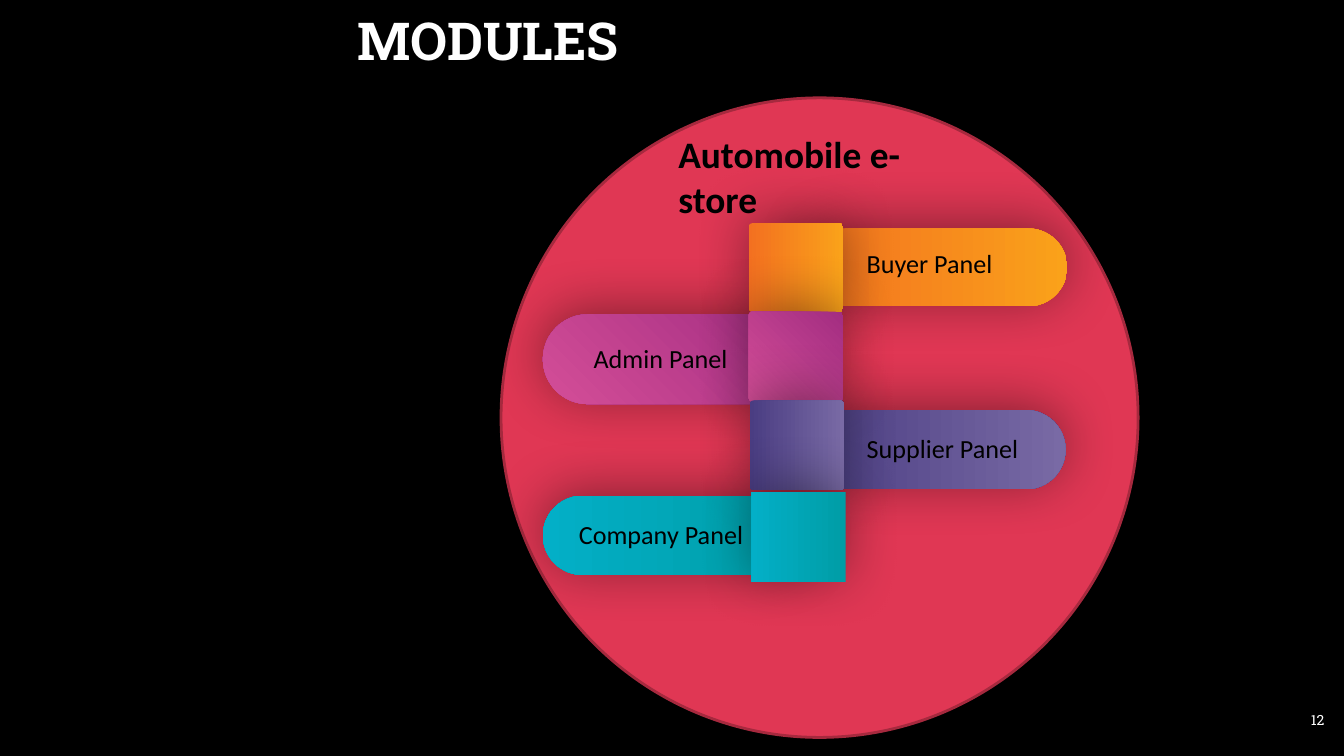
"""Build the modules slide: four panels of an automobile e-store in a circle."""
from lxml import etree
from pptx import Presentation
from pptx.dml.color import RGBColor
from pptx.enum.shapes import MSO_SHAPE
from pptx.enum.text import MSO_ANCHOR, MSO_AUTO_SIZE, PP_ALIGN
from pptx.oxml import parse_xml
from pptx.util import Cm, Pt

ELLIPSE, ROUNDED = MSO_SHAPE.OVAL, MSO_SHAPE.ROUNDED_RECTANGLE
BOTTOM, TOP = MSO_ANCHOR.BOTTOM, MSO_ANCHOR.TOP
NO_FIT = MSO_AUTO_SIZE.NONE
LEFT, RIGHT = PP_ALIGN.LEFT, PP_ALIGN.RIGHT
SHADOW = (
    '<a:effectLst xmlns:a="http://schemas.openxmlformats.org/drawingml/2006/main">'
    f'<a:outerShdw blurRad="{Pt(30)}" dist="{Pt(3)}" dir="16200000" algn="b" rotWithShape="0">'
    '<a:srgbClr val="000000"><a:alpha val="40000"/></a:srgbClr>'
    '</a:outerShdw></a:effectLst>'
)


def color(value):
    return RGBColor.from_string(value)


def write(shape, text, size, font, value, bold=False, anchor=TOP, align=LEFT):
    frame = shape.text_frame
    frame.word_wrap = True
    frame.auto_size = NO_FIT
    frame.vertical_anchor = anchor
    paragraph = frame.paragraphs[0]
    paragraph.alignment = align
    run = paragraph.add_run()
    run.text = text
    run.font.size = Pt(size)
    run.font.name = font
    run.font.bold = bold
    run.font.color.rgb = color(value)
    return frame


presentation = Presentation()
presentation.slide_width, presentation.slide_height = Cm(25.4), Cm(14.29)
slide = presentation.slides.add_slide(presentation.slide_layouts[5])
slide.background.fill.solid()
slide.background.fill.fore_color.rgb = color("000000")

title = slide.shapes.title
title.left, title.top, title.width, title.height = Cm(6.5), Cm(0.36), Cm(7.21), Cm(1.24)
number = slide.shapes.add_textbox(Cm(23.98), Cm(13.2), Cm(1.3), Cm(1.09))
title_frame = write(title, "MODULES", 28, "Roboto Slab", "FFFFFF", True, BOTTOM)
title_frame.paragraphs[0].line_spacing = 0.9
number_frame = write(number, "12", 7.5, "Roboto Slab", "FFFFFF", align=RIGHT)
for frame in (title_frame, number_frame):
    frame.margin_left = frame.margin_right = Cm(0.25)
    frame.margin_top = frame.margin_bottom = Cm(0.25)

circle = slide.shapes.add_shape(ELLIPSE, Cm(9.47), Cm(1.85), Cm(12.04), Cm(12.09))
circle.shadow.inherit = False
circle.fill.solid()
circle.fill.fore_color.rgb = color("E03754")
circle.line.color.rgb = color("A6293E")
circle.line.width = Pt(1.5)

teal = ("009DA6", "03AFC7", 180)
orange = ("F37020", "FAA21A", 0)
purple = ("4A3D82", "796AA5", 0)
magenta = ("A32D81", "D44E98", 225)
blocks = [
    (10.26, 9.37, 4.93, 1.5, 0.5, teal),
    (15.24, 4.32, 4.93, 1.47, 0.5, orange),
    (15.21, 7.75, 4.93, 1.5, 0.5, purple),
    (10.26, 5.94, 4.93, 1.7, 0.5, magenta),
    (14.15, 4.22, 1.78, 1.68, 0.04, orange),
    (14.15, 5.89, 1.78, 1.7, 0.04, magenta),
    (14.17, 7.57, 1.78, 1.7, 0.04, purple),
    (14.2, 9.3, 1.78, 1.7, 0, teal),
]
for left, top, width, height, rounding, (start, end, angle) in blocks:
    block = slide.shapes.add_shape(ROUNDED, Cm(left), Cm(top), Cm(width), Cm(height))
    block.adjustments[0] = rounding
    block.line.fill.background()
    block.fill.gradient()
    block.fill.gradient_angle = angle
    for stop, position, value in zip(block.fill.gradient_stops, (0, 1), (start, end)):
        stop.position = position
        stop.color.rgb = color(value)
    block._element.spPr.append(parse_xml(SHADOW))

labels = [
    ("Admin Panel", 10.97, 6.35, 4.47, 0.86, 14, False),
    ("Buyer Panel", 16.13, 4.55, 4.01, 0.86, 14, False),
    ("Automobile e-store", 12.57, 2.36, 6.05, 1.12, 20, True),
    ("Supplier Panel", 16.13, 8.05, 4.47, 0.86, 14, False),
    ("Company Panel", 10.69, 9.68, 4.47, 0.86, 14, False),
]
for text, left, top, width, height, size, bold in labels:
    label = slide.shapes.add_textbox(Cm(left), Cm(top), Cm(width), Cm(height))
    write(label, text, size, "Calibri", "000000", bold)

presentation.save("out.pptx")
